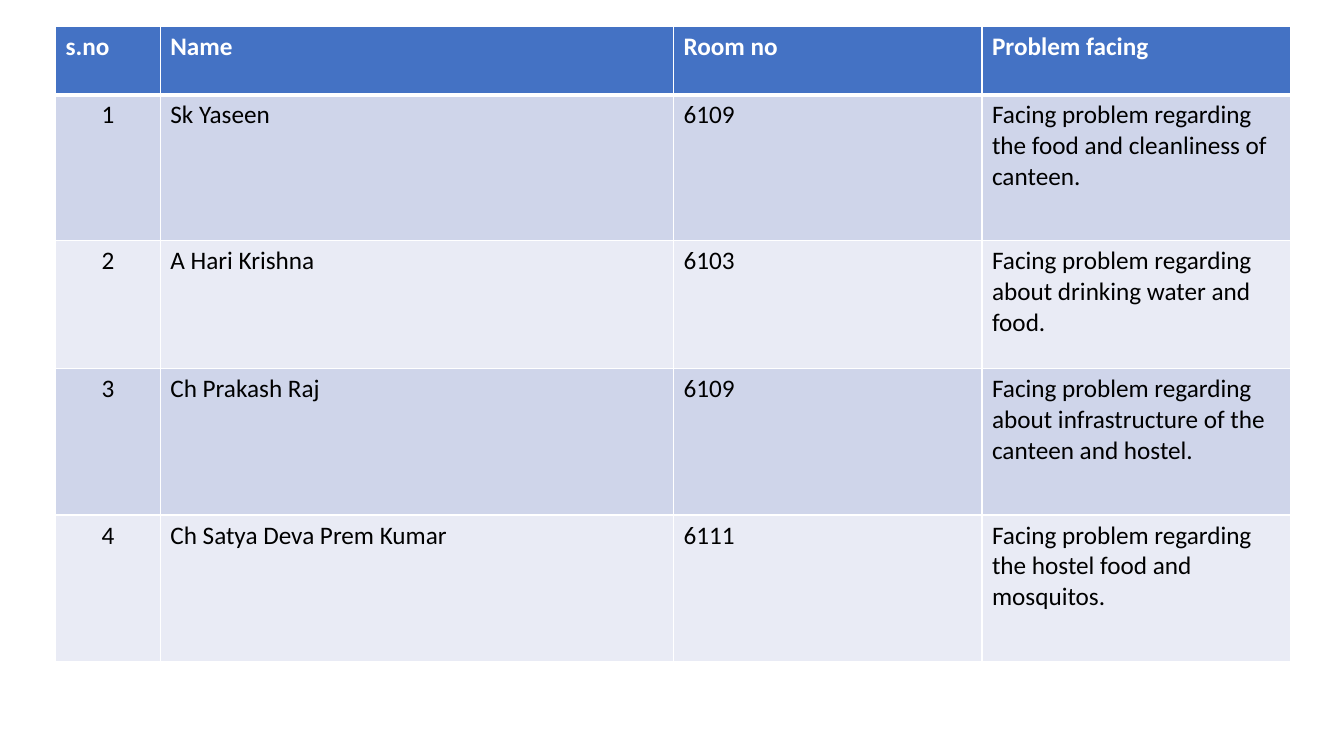
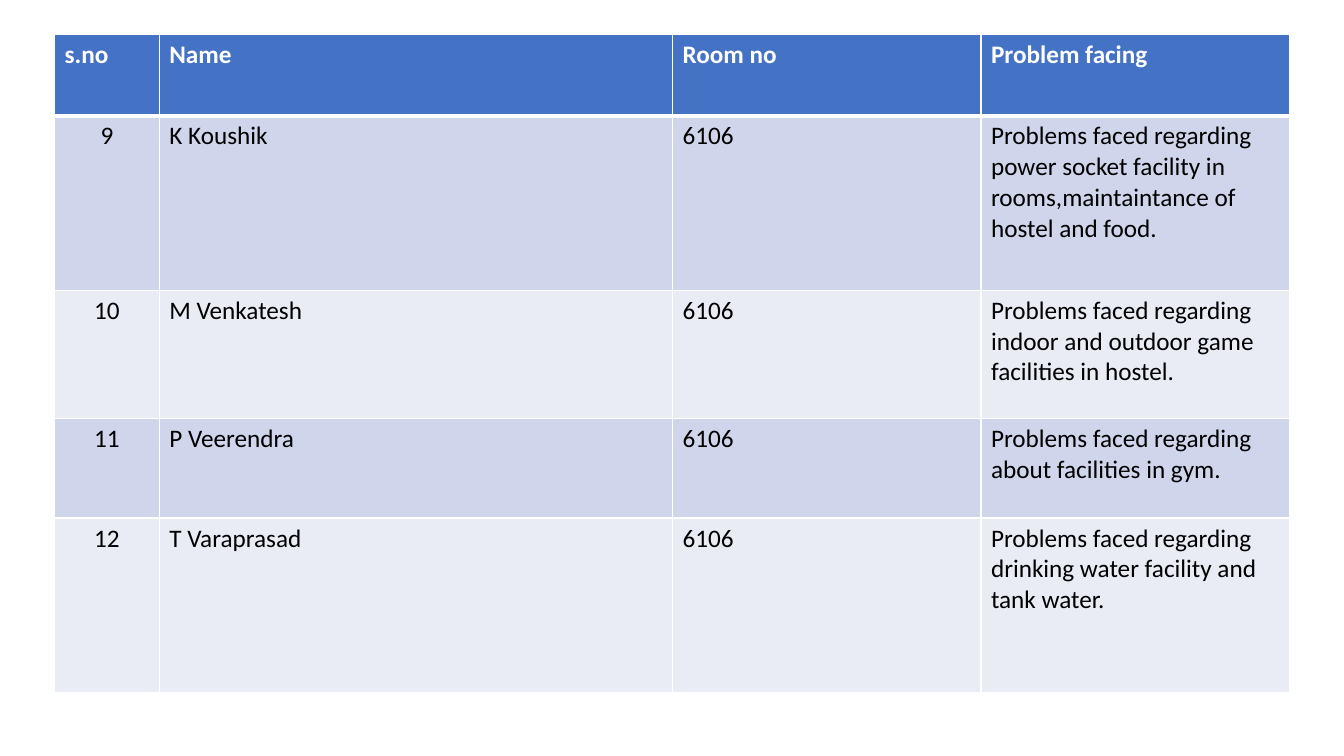
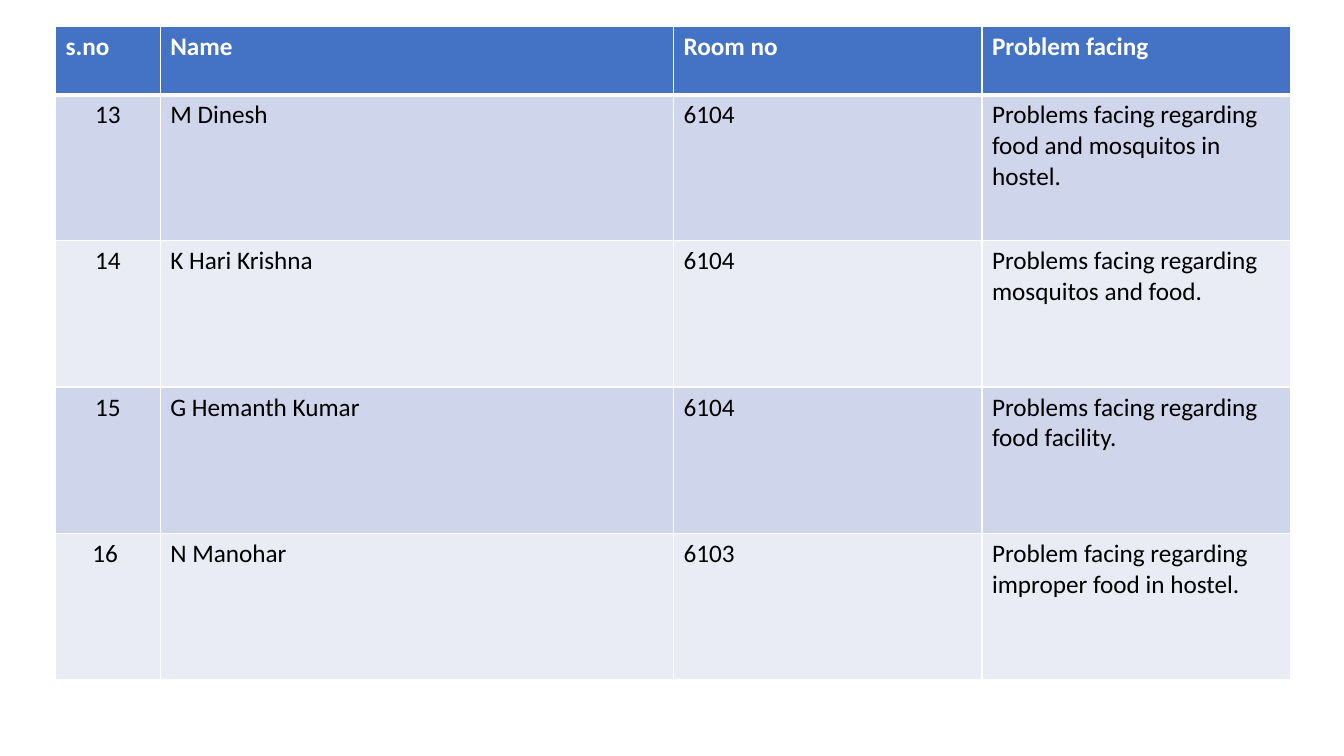
from dataclasses import dataclass

from lxml.etree import SubElement
from pptx import Presentation
from pptx.dml.color import RGBColor
from pptx.enum.text import PP_ALIGN
from pptx.oxml.ns import qn
from pptx.table import _Cell
from pptx.util import Inches, Pt

COLORS = {
    "header": "4472C4",
    "odd_row": "CFD5EA",
    "even_row": "E9EBF5",
    "rule": "FFFFFF",
    "header_text": "FFFFFF",
    "body_text": "000000",
}
FONT_NAME = "Calibri"
FONT_SIZE = 18
SLIDE_WIDTH, SLIDE_HEIGHT = 13.33, 7.5
THIN_RULE, HEADER_RULE = 1, 3


@dataclass(frozen=True)
class Column:
    heading: str
    width: float
    align: PP_ALIGN = PP_ALIGN.LEFT


@dataclass(frozen=True)
class Complaint:
    number: str
    name: str
    room: str
    problem: str
    height: float = 1.45

    def texts(self) -> tuple[str, ...]:
        """Return the cell texts in column order."""
        return self.number, self.name, self.room, self.problem


@dataclass(frozen=True)
class Register:
    complaints: tuple[Complaint, ...]
    left: float = 0.55
    top: float = 0.26
    header_height: float = 0.68


COLUMNS = (
    Column("s.no", 1.04, PP_ALIGN.CENTER),
    Column("Name", 5.09),
    Column("Room no", 3.06),
    Column("Problem facing", 3.06),
)

REGISTERS = (
    Register((
        Complaint("1", "Sk Yaseen", "6109",
                  "Facing problem regarding the food and cleanliness of canteen."),
        Complaint("2", "A Hari Krishna", "6103",
                  "Facing problem regarding about drinking water and food.", 1.27),
        Complaint("3", "Ch Prakash Raj", "6109",
                  "Facing problem regarding about infrastructure of the canteen and hostel."),
        Complaint("4", "Ch Satya Deva Prem Kumar", "6111",
                  "Facing problem regarding the hostel food and mosquitos."),
    )),
    Register((
        Complaint("9", "K Koushik", "6106",
                  "Problems faced regarding power socket facility in "
                  "rooms,maintaintance of hostel and food.", 1.73),
        Complaint("10", "M Venkatesh", "6106",
                  "Problems faced regarding indoor and outdoor game facilities in hostel.", 1.27),
        Complaint("11", "P Veerendra", "6106",
                  "Problems faced regarding about facilities in gym.", 0.99),
        Complaint("12", "T Varaprasad", "6106",
                  "Problems faced regarding drinking water facility and tank water.", 1.73),
    ), left=0.54, top=0.34, header_height=0.81),
    Register((
        Complaint("13", "M Dinesh", "6104",
                  "Problems facing regarding food and mosquitos in hostel."),
        Complaint("14", "K Hari Krishna", "6104",
                  "Problems facing regarding mosquitos and food."),
        Complaint("15", "G Hemanth Kumar", "6104",
                  "Problems facing regarding food facility."),
        Complaint("16 ", "N Manohar", "6103",
                  "Problem facing regarding improper food in hostel."),
    )),
)


def rgb(role: str) -> RGBColor:
    """Look up the colour of a role."""
    return RGBColor.from_string(COLORS[role])


def rule_cell(cell: _Cell, top: float, bottom: float) -> None:
    """Draw the four borders of a cell."""
    properties = cell._tc.get_or_add_tcPr()
    widths = {"a:lnL": THIN_RULE, "a:lnR": THIN_RULE, "a:lnT": top, "a:lnB": bottom}
    for side, width in widths.items():
        line = SubElement(properties, qn(side), w=str(Pt(width)))
        fill = SubElement(line, qn("a:solidFill"))
        SubElement(fill, qn("a:srgbClr"), val=COLORS["rule"])


def fill_cell(cell: _Cell, text: str, row: int, align: PP_ALIGN) -> None:
    """Write and style one cell according to its row."""
    is_header = row == 0
    rule_cell(cell, HEADER_RULE if row == 1 else THIN_RULE,
              HEADER_RULE if is_header else THIN_RULE)
    band = "header" if is_header else "odd_row" if row % 2 else "even_row"
    cell.fill.solid()
    cell.fill.fore_color.rgb = rgb(band)
    paragraph = cell.text_frame.paragraphs[0]
    paragraph.alignment = PP_ALIGN.LEFT if is_header else align
    run = paragraph.add_run()
    run.text = text
    run.font.name = FONT_NAME
    run.font.size = Pt(FONT_SIZE)
    run.font.bold = is_header
    run.font.color.rgb = rgb("header_text" if is_header else "body_text")


def add_register(deck: Presentation, register: Register) -> None:
    """Add a slide holding one table of complaints."""
    slide = deck.slides.add_slide(deck.slide_layouts[6])
    headings = tuple(column.heading for column in COLUMNS)
    rows = (headings, *(complaint.texts() for complaint in register.complaints))
    heights = (register.header_height,
               *(complaint.height for complaint in register.complaints))
    table = slide.shapes.add_table(
        len(rows), len(COLUMNS), Inches(register.left), Inches(register.top),
        Inches(sum(column.width for column in COLUMNS)), Inches(sum(heights)),
    ).table
    table.horz_banding = False
    for index, column in enumerate(COLUMNS):
        table.columns[index].width = Inches(column.width)
    for row, (texts, height) in enumerate(zip(rows, heights)):
        table.rows[row].height = Inches(height)
        for index, (text, column) in enumerate(zip(texts, COLUMNS)):
            fill_cell(table.cell(row, index), text, row, column.align)


def main() -> None:
    """Build the complaint registers and save them."""
    deck = Presentation()
    deck.slide_width = Inches(SLIDE_WIDTH)
    deck.slide_height = Inches(SLIDE_HEIGHT)
    for register in REGISTERS:
        add_register(deck, register)
    deck.save("out.pptx")


if __name__ == "__main__":
    main()
